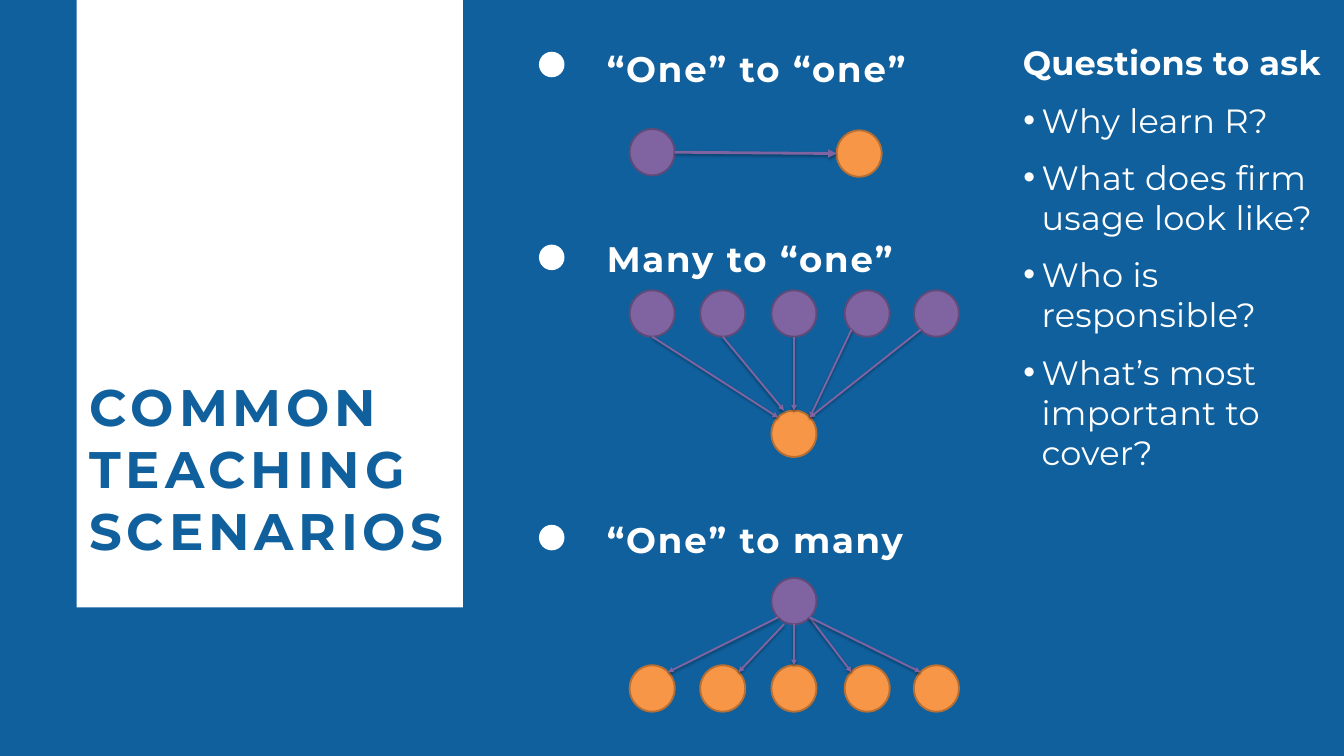
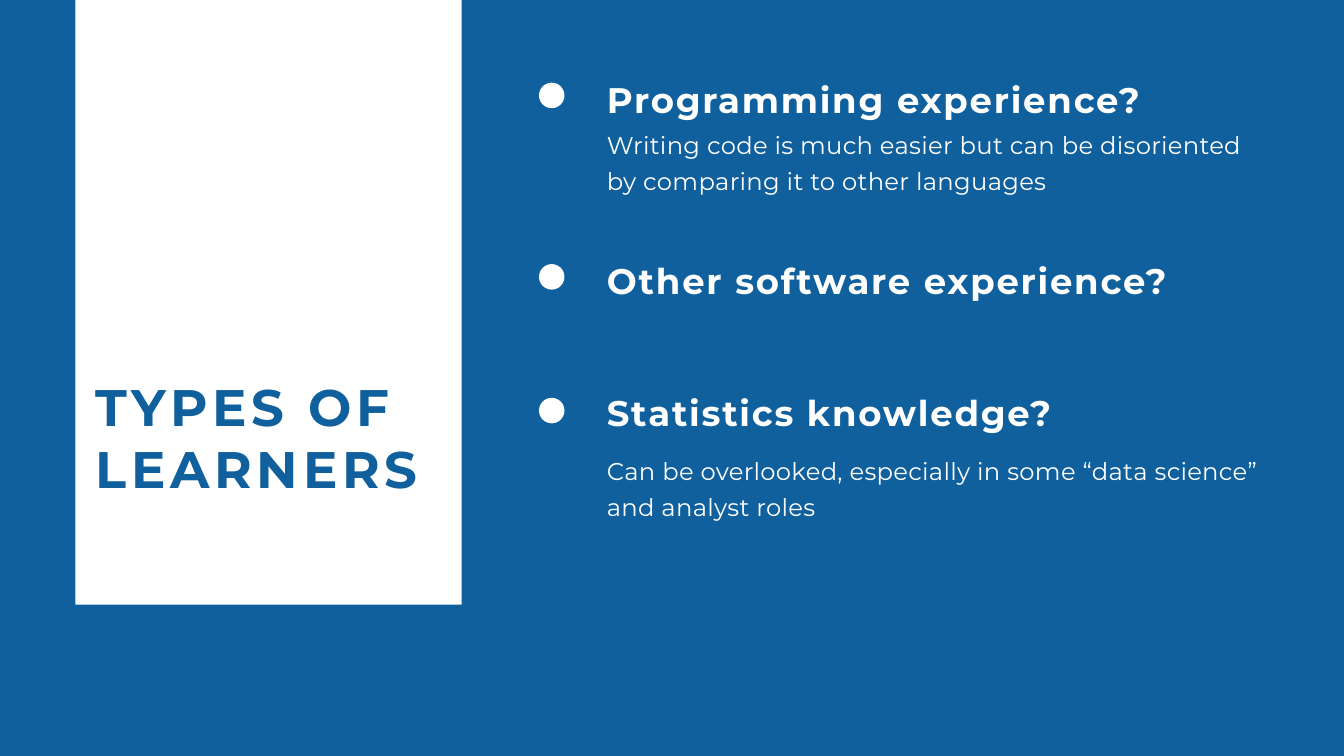
from lxml import etree
from pptx import Presentation
from pptx import util as u
from pptx.dml.color import RGBColor
from pptx.enum import shapes, text
from pptx.oxml import ns

BLUE = RGBColor(0x10, 0x60, 0x9D)
WHITE = RGBColor(0xFF, 0xFF, 0xFF)
PURPLE = RGBColor(0x80, 0x64, 0xA2)
DARK_PURPLE = RGBColor(0x5F, 0x4A, 0x78)
ORANGE = RGBColor(0xF7, 0x96, 0x46)
DARK_ORANGE = RGBColor(0xB7, 0x6F, 0x34)
TEACHER = (PURPLE, DARK_PURPLE)
LEARNER = (ORANGE, DARK_ORANGE)

FONT = "Montserrat"
TEXT_LEFT = 9.03
TEXT_WIDTH = 9.84
DOT_LEFT, DOT_SIZE = 8.02, 0.38
NODE_WIDTH, NODE_HEIGHT = 0.67, 0.69
NODE_COLUMNS = (9.37, 10.42, 11.48, 12.57, 13.6)
MIDDLE_COLUMN = NODE_COLUMNS[2]

SITES = {
    "top": (0.5, 0, 0),
    "top left": (0.15, 0.15, 1),
    "left": (0, 0.5, 2),
    "bottom left": (0.15, 0.85, 3),
    "bottom": (0.5, 1, 4),
    "bottom right": (0.85, 0.85, 5),
    "right": (1, 0.5, 6),
    "top right": (0.85, 0.15, 7),
    "above left of centre": (0.28, 0, None),
    "below left of centre": (0.28, 1, None),
}


def add_child(parent, tag, **attributes):
    child = etree.SubElement(parent, ns.qn(tag))
    for name, value in attributes.items():
        child.set(name, str(value))
    return child


def add_filled_shape(slide, kind, left, top, width, height, fill, outline=None):
    shape = slide.shapes.add_shape(
        kind, u.Inches(left), u.Inches(top), u.Inches(width), u.Inches(height))
    shape.shadow.inherit = False
    shape.fill.solid()
    shape.fill.fore_color.rgb = fill
    if outline is None:
        shape.line.fill.background()
    else:
        shape.line.color.rgb = outline
        shape.line.width = u.Pt(2)
    return shape


def add_text_frame(slide, left, top, width, height):
    box = slide.shapes.add_textbox(
        u.Inches(left), u.Inches(top), u.Inches(width), u.Inches(height))
    frame = box.text_frame
    frame.margin_left = frame.margin_right = 0
    frame.margin_top = frame.margin_bottom = 0
    frame.word_wrap = True
    frame.auto_size = text.MSO_AUTO_SIZE.SHAPE_TO_FIT_TEXT
    return frame


def add_run(paragraph, words, size, color=WHITE, bold=False, tracking=0.3):
    run = paragraph.add_run()
    run.text = words
    run.font.name = FONT
    run.font.size = u.Pt(size)
    run.font.bold = bold
    run.font.color.rgb = color
    run.font._element.set("spc", str(round(tracking * 100)))


def add_text(slide, place, lines, line_spacing, size, **style):
    frame = add_text_frame(slide, *place)
    for index, line in enumerate(lines):
        paragraph = frame.add_paragraph() if index else frame.paragraphs[0]
        paragraph.line_spacing = u.Pt(line_spacing)
        add_run(paragraph, line, size, **style)


def add_title_panel(slide, panel_left, panel_height, title_place, lines):
    add_filled_shape(slide, shapes.MSO_SHAPE.RECTANGLE,
                     panel_left, 0, 5.75, panel_height, WHITE)
    add_text(slide, title_place, lines, 66, 55, color=BLUE, bold=True, tracking=5.2)


def add_heading(slide, dot_top, text_top, words):
    add_filled_shape(slide, shapes.MSO_SHAPE.OVAL,
                     DOT_LEFT, dot_top, DOT_SIZE, DOT_SIZE, WHITE)
    add_text(slide, (TEXT_LEFT, text_top, TEXT_WIDTH, 0.69), [words],
             53.2, 38, bold=True, tracking=1.9)


def add_detail(slide, top, words):
    add_text(slide, (TEXT_LEFT, top, TEXT_WIDTH, 1.03), [words], 39, 26)


def add_node(slide, left, top, colors):
    return add_filled_shape(slide, shapes.MSO_SHAPE.OVAL,
                            left, top, NODE_WIDTH, NODE_HEIGHT, *colors)


def add_node_row(slide, top, colors):
    return [add_node(slide, left, top, colors) for left in NODE_COLUMNS]


def site_point(node, site):
    across, down, _ = SITES[site]
    return (round(node.left + across * node.width),
            round(node.top + down * node.height))


def add_arrow(slide, start, start_site, end, end_site, width=2, opacity=38):
    connector = slide.shapes.add_connector(
        shapes.MSO_CONNECTOR.STRAIGHT,
        *site_point(start, start_site), *site_point(end, end_site))
    connector.line.color.rgb = PURPLE
    connector.line.width = u.Pt(width)
    add_child(connector.line._get_or_add_ln(), "a:tailEnd", type="triangle")

    effects = add_child(connector._element.spPr, "a:effectLst")
    shadow = add_child(effects, "a:outerShdw", blurRad=u.Pt(3.1), dist=u.Pt(1.7),
                       dir=5400000, rotWithShape=0)
    shade = add_child(shadow, "a:srgbClr", val="000000")
    add_child(shade, "a:alpha", val=opacity * 1000)

    joints = connector._element.nvCxnSpPr.cNvCxnSpPr
    for tag, node, site in (("a:stCxn", start, start_site), ("a:endCxn", end, end_site)):
        index = SITES[site][2]
        if index is not None:
            add_child(joints, tag, id=node.shape_id, idx=index)


def add_questions(slide, heading, questions):
    frame = add_text_frame(slide, 14.95, 0.63, 4.8, 8.21)
    for index, words in enumerate([heading, *questions]):
        paragraph = frame.add_paragraph() if index else frame.paragraphs[0]
        paragraph.space_after = u.Pt(18)
        properties = paragraph._p.get_or_add_pPr()
        properties.set("marL", str(u.Inches(0.55 if index else 0.27)))
        properties.set("indent", str(u.Inches(-0.27 if index else 0)))
        if index:
            add_child(properties, "a:buFont", typeface="Arial")
            add_child(properties, "a:buChar", char="•")
        add_run(paragraph, words, 36, bold=index == 0)


def add_slide(presentation):
    slide = presentation.slides.add_slide(presentation.slide_layouts[6])
    slide.background.fill.solid()
    slide.background.fill.fore_color.rgb = BLUE
    return slide


def build_scenarios(presentation):
    slide = add_slide(presentation)
    add_title_panel(slide, 1.14, 9.04, (1.33, 5.59, 5.33, 2.78),
                    ["COMMON", "TEACHING SCENARIOS"])
    add_heading(slide, 0.77, 0.6, "“One” to “one”")
    add_heading(slide, 3.64, 3.42, "Many to “one”")
    add_heading(slide, 7.81, 7.61, "“One” to many")

    single_teacher = add_node(slide, NODE_COLUMNS[0], 1.92, TEACHER)
    single_learner = add_node(slide, 12.45, 1.94, LEARNER)
    many_teachers = add_node_row(slide, 4.32, TEACHER)
    shared_learner = add_node(slide, MIDDLE_COLUMN, 6.11, LEARNER)
    shared_teacher = add_node(slide, MIDDLE_COLUMN, 8.6, TEACHER)
    many_learners = add_node_row(slide, 9.9, LEARNER)

    add_arrow(slide, single_teacher, "right", single_learner, "left", 3, 35)
    inward_sites = (("bottom", "top left"), ("bottom", "above left of centre"),
                    ("bottom", "top"), ("bottom left", "top right"),
                    ("bottom left", "top right"))
    for teacher, (start_site, end_site) in zip(many_teachers, inward_sites):
        add_arrow(slide, teacher, start_site, shared_learner, end_site)
    outward_sites = (("bottom left", "top right"), ("below left of centre", "top right"),
                     ("bottom", "top"), ("bottom right", "top left"),
                     ("bottom right", "top left"))
    for learner, (start_site, end_site) in zip(many_learners, outward_sites):
        add_arrow(slide, shared_teacher, start_site, learner, end_site)

    add_questions(slide, "Questions to ask", [
        "Why learn R?",
        "What does firm usage look like?",
        "Who is responsible?",
        "What’s most important to cover?",
    ])


def build_learners(presentation):
    slide = add_slide(presentation)
    add_title_panel(slide, 1.12, 9, (1.42, 5.59, 4.83, 1.85), ["TYPES OF LEARNERS"])
    add_heading(slide, 1.23, 1.06, "Programming experience?")
    add_detail(slide, 1.83, "Writing code is much easier but can be disoriented "
                            "by comparing it to other languages")
    add_heading(slide, 3.93, 3.75, "Other software experience?")
    add_heading(slide, 5.92, 5.71, "Statistics knowledge?")
    add_detail(slide, 6.68, "Can be overlooked, especially in some “data science” "
                            "and analyst roles")


def main():
    presentation = Presentation()
    presentation.slide_width = u.Inches(20)
    presentation.slide_height = u.Inches(11.25)
    build_scenarios(presentation)
    build_learners(presentation)
    presentation.save("out.pptx")


if __name__ == "__main__":
    main()
